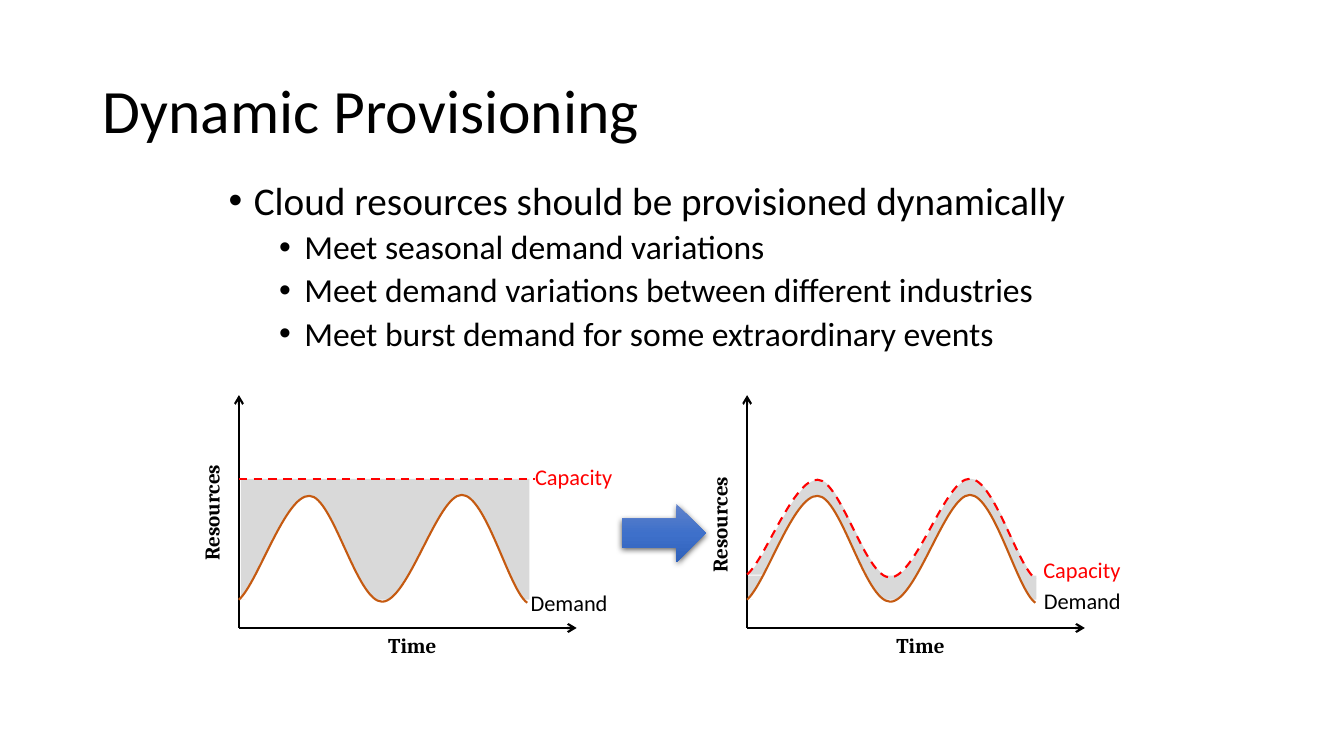
from copy import deepcopy

from lxml import etree
from pptx import Presentation
from pptx.dml.color import RGBColor
from pptx.enum.dml import MSO_LINE
from pptx.enum.shapes import MSO_CONNECTOR, MSO_SHAPE
from pptx.enum.text import MSO_ANCHOR, PP_ALIGN
from pptx.oxml.ns import qn
from pptx.util import Inches, Pt

BLACK = RGBColor(0x00, 0x00, 0x00)
WHITE = RGBColor(0xFF, 0xFF, 0xFF)
RED = RGBColor(0xFF, 0x00, 0x00)
ORANGE = RGBColor(0xC5, 0x5A, 0x11)
GREY = RGBColor(0xD9, 0xD9, 0xD9)
ARROW_BLUES = [RGBColor(0x61, 0x83, 0xCB), RGBColor(0x3E, 0x70, 0xCA), RGBColor(0x30, 0x62, 0xBB)]
DASH = MSO_LINE.DASH
STRAIGHT = MSO_CONNECTOR.STRAIGHT
LEFT, CENTER = PP_ALIGN.LEFT, PP_ALIGN.CENTER
MIDDLE, TOP = MSO_ANCHOR.MIDDLE, MSO_ANCHOR.TOP

# Bezier points, with x measured from the vertical axis
DEMAND = [(0, 5.95), (0.19, 5.78), (0.46, 4.91), (0.7, 4.92), (0.93, 4.92), (1.17, 5.97), (1.42, 5.97),
          (1.68, 5.97), (1.97, 4.91), (2.21, 4.91), (2.45, 4.91), (2.68, 5.86), (2.86, 5.98)]
CAPACITY = [(0, 5.7), (0.18, 5.55), (0.46, 4.75), (0.7, 4.76), (0.93, 4.76), (1.17, 5.73), (1.42, 5.73),
            (1.68, 5.72), (1.97, 4.74), (2.21, 4.75), (2.45, 4.75), (2.68, 5.62), (2.86, 5.74)]


def write_text(shape, text, font="Calibri", size=16, color=BLACK, bold=False, align=CENTER,
               anchor=TOP, wrap=False, spacing=None, before=0, bullet_indent=None, level=0):
    """Write one paragraph, after any text the shape already holds."""
    frame = shape.text_frame
    frame.word_wrap = wrap
    frame.vertical_anchor = anchor
    paragraph = frame.add_paragraph() if frame.text else frame.paragraphs[0]
    paragraph.text = text
    paragraph.alignment = align
    paragraph.level = level
    paragraph.space_before = Pt(before)
    if spacing:
        paragraph.line_spacing = spacing
    if bullet_indent:
        properties = paragraph._p.get_or_add_pPr()
        properties.set("marL", str(Inches(bullet_indent)))
        properties.set("indent", str(-Inches(0.25)))
        etree.SubElement(properties, qn("a:buFont")).set("typeface", "Arial")
        etree.SubElement(properties, qn("a:buChar")).set("char", "•")
    run_font = paragraph.runs[0].font
    run_font.name, run_font.size, run_font.bold = font, Pt(size), bold
    run_font.color.rgb = color


def add_curve(slide, axis_x, bezier, fill=None, line=None, dash=None):
    """Draw the bezier chain as an open curve, three points to a segment."""
    points = [(Inches(axis_x + x), Inches(y)) for x, y in bezier]
    builder = slide.shapes.build_freeform(*points[0])
    builder.add_line_segments(points[1:], close=False)
    curve = builder.convert_to_shape()
    outline = curve._element.spPr.find(".//" + qn("a:path"))
    for index, straight in enumerate(outline.findall(qn("a:lnTo"))):
        if index % 3 == 0:
            segment = etree.SubElement(outline, qn("a:cubicBezTo"))
        segment.append(straight[0])
        outline.remove(straight)
    curve.shadow.inherit = False
    if fill is None:
        curve.fill.background()
    else:
        curve.fill.solid()
        curve.fill.fore_color.rgb = fill
    if line is None:
        curve.line.fill.background()
    else:
        curve.line.color.rgb = line
        curve.line.width = Pt(1.5)
        curve.line.dash_style = dash


presentation = Presentation()
presentation.slide_width = Inches(13.33)
presentation.slide_height = Inches(7.5)
slide = presentation.slides.add_slide(presentation.slide_layouts[5])

title = slide.shapes.title
title.left, title.top, title.width, title.height = Inches(0.92), Inches(0.4), Inches(11.5), Inches(1.45)
write_text(title, "Dynamic Provisioning", size=44, align=LEFT, anchor=MIDDLE, wrap=True, spacing=0.9)

body = slide.shapes.add_textbox(Inches(2.17), Inches(1.75), Inches(9), Inches(2.5))
write_text(body, "Cloud resources should be provisioned dynamically", size=28, align=LEFT,
           wrap=True, spacing=0.9, bullet_indent=0.25)
for point in ["Meet seasonal demand variations",
              "Meet demand variations between different industries",
              "Meet burst demand for some extraordinary events"]:
    write_text(body, point, size=24, align=LEFT, wrap=True, spacing=0.9, before=5,
               bullet_indent=0.75, level=1)

# Each panel: axis x, grey block left and top, is capacity dynamic, label places
panels = [
    (2.37, 2.39, 4.75, False, (5.16, 5.8), (5.2, 4.55), 4.54),
    (7.41, 7.42, 5.71, True, (10.25, 5.78), (10.24, 5.47), 4.66),
]
for axis_x, block_left, block_top, dynamic, demand_at, capacity_at, resources_top in panels:
    block = slide.shapes.add_shape(MSO_SHAPE.RECTANGLE, Inches(block_left), Inches(block_top),
                                   Inches(2.86), Inches(5.95 - block_top))
    block.shadow.inherit = False
    block.fill.solid()
    block.fill.fore_color.rgb = GREY
    block.line.fill.background()
    if dynamic:
        add_curve(slide, block_left, CAPACITY, fill=GREY)

    lines = [(6.23, axis_x, 3.92, BLACK), (6.23, axis_x + 3.35, 6.23, BLACK)]
    if not dynamic:
        lines.append((4.75, axis_x + 2.94, 4.75, RED))
    for start_y, end_x, end_y, color in lines:
        connector = slide.shapes.add_connector(STRAIGHT, Inches(axis_x), Inches(start_y),
                                               Inches(end_x), Inches(end_y))
        connector.line.color.rgb = color
        connector.line.width = Pt(1.5)
        if color == RED:
            connector.line.dash_style = DASH
        else:
            etree.SubElement(connector.line._get_or_add_ln(), qn("a:tailEnd")).set("type", "arrow")
        etree.SubElement(connector._element.spPr, qn("a:effectLst"))

    add_curve(slide, axis_x, DEMAND, fill=WHITE, line=ORANGE)
    if dynamic:
        add_curve(slide, axis_x, CAPACITY, line=RED, dash=DASH)

    for text, (left, top), width, height, style in [
        ("Demand", demand_at, 0.97, 0.37, {}),
        ("Capacity", capacity_at, 0.98, 0.37, {"color": RED}),
        ("Time", (axis_x + 1.37, 6.23), 0.7, 0.35, {"font": "Cambria", "size": 15, "bold": True}),
        ("Resources", (axis_x - 0.45, resources_top), 0.45, 1.09,
         {"font": "Cambria", "size": 15, "bold": True}),
    ]:
        label = slide.shapes.add_textbox(Inches(left), Inches(top), Inches(width), Inches(height))
        write_text(label, text, **style)
        if text == "Resources":
            label.text_frame._txBody.bodyPr.set("vert", "vert270")

arrow = slide.shapes.add_shape(MSO_SHAPE.RIGHT_ARROW, Inches(6.17), Inches(5), Inches(0.83), Inches(0.58))
arrow.line.fill.background()
arrow.fill.gradient()
arrow.fill.gradient_angle = 270
stop_list = arrow._element.spPr.find(".//" + qn("a:gsLst"))
stop_list.insert(1, deepcopy(stop_list[0]))
for stop, color, position in zip(arrow.fill.gradient_stops, ARROW_BLUES, (0, 0.5, 1)):
    stop.color.rgb = color
    stop.position = position
arrow.shadow.inherit = False
effects = arrow._element.spPr.find(qn("a:effectLst"))
shadow = etree.SubElement(effects, qn("a:outerShdw"), blurRad=str(Pt(4.5)), dist=str(Pt(1.5)),
                          dir="5400000", algn="ctr", rotWithShape="0")
shadow_color = etree.SubElement(shadow, qn("a:srgbClr"), val=str(BLACK))
etree.SubElement(shadow_color, qn("a:alpha"), val="63000")

presentation.save("out.pptx")
